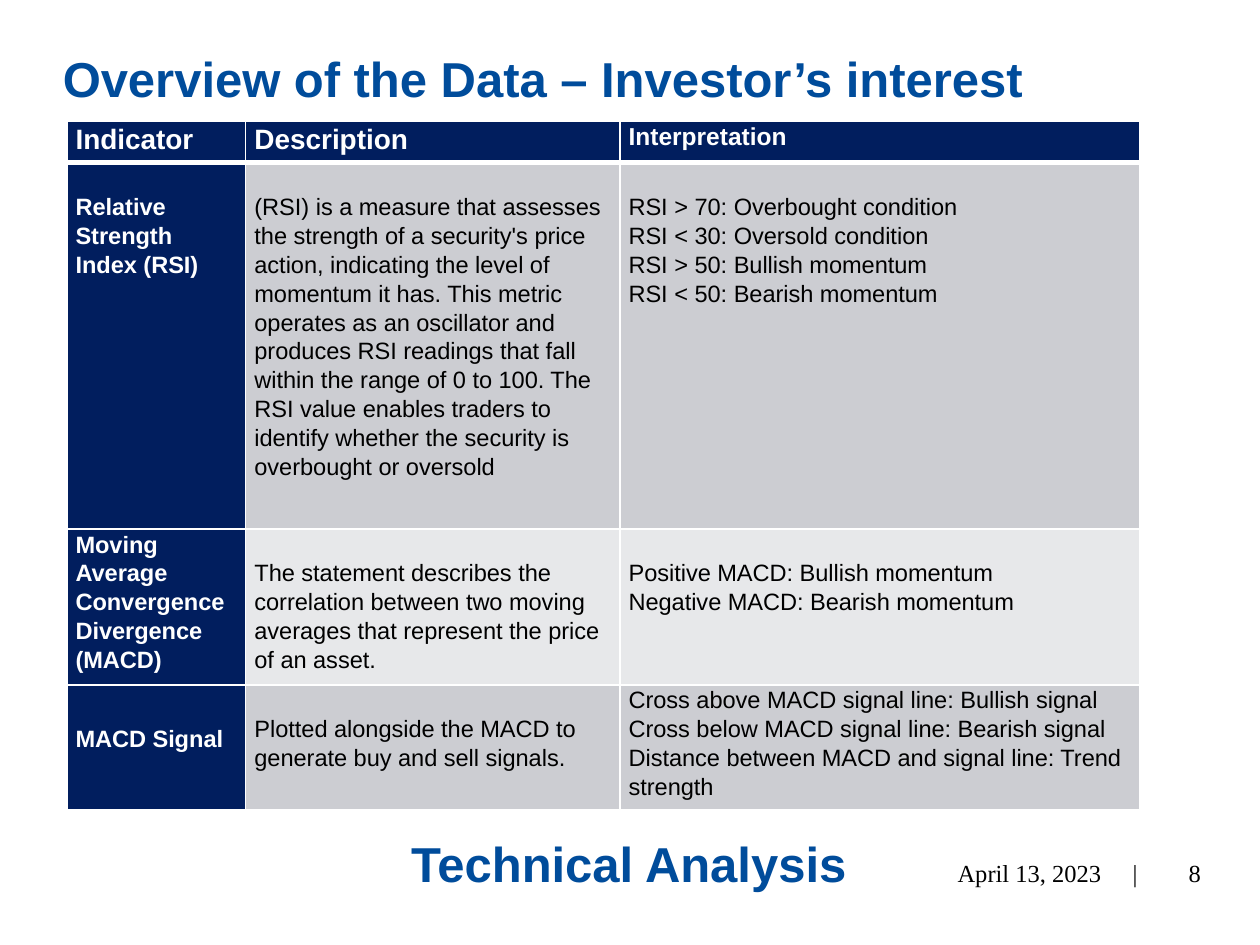
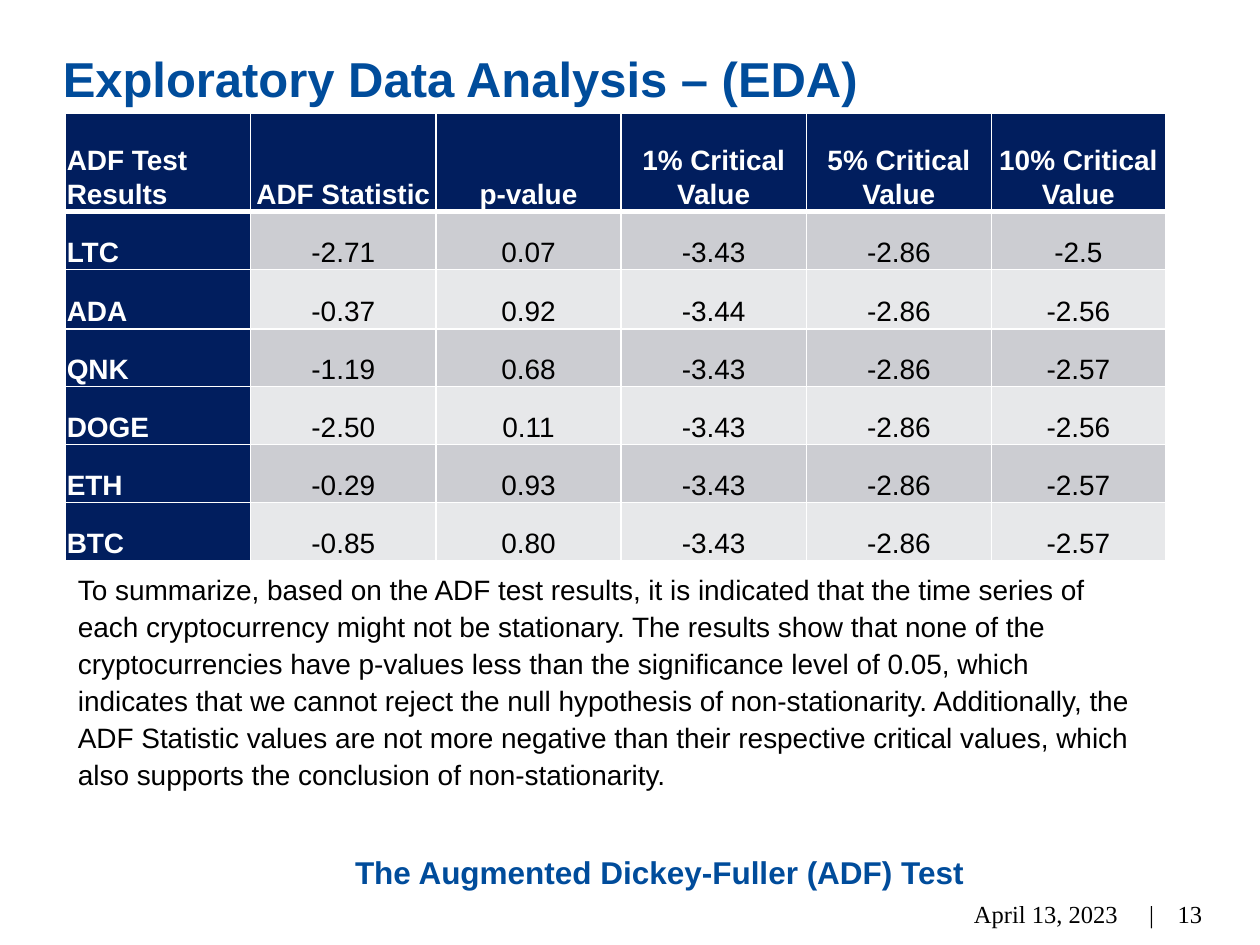
from dataclasses import dataclass

from lxml import etree
from pptx import Presentation
from pptx import util as u
from pptx.dml.color import RGBColor
from pptx.enum import text
from pptx.oxml.ns import qn

PX = 9144  # 100 px to the inch
LEFT, CENTER = text.PP_ALIGN.LEFT, text.PP_ALIGN.CENTER
RIGHT = text.PP_ALIGN.RIGHT
TOP, MIDDLE = text.MSO_ANCHOR.TOP, text.MSO_ANCHOR.MIDDLE
BOTTOM = text.MSO_ANCHOR.BOTTOM


@dataclass(frozen=True)
class Theme:
    title: str = "004C9B"
    header: str = "011E5E"
    bands: tuple[str, str] = ("CCCDD2", "E7E8EA")
    white: str = "FFFFFF"
    black: str = "000000"
    sans: str = "Arial"
    serif: str = "Times New Roman"
    title_pt: float = 28
    caption_pt: float = 18
    body_pt: float = 16
    small_pt: float = 14
    dense_pt: float = 13.5
    title_leading: u.Length = u.Pt(26.6)
    body_leading: float = 1.1
    rule_pt: float = 1
    header_rule_pt: float = 3


THEME = Theme()


@dataclass(frozen=True)
class Box:
    x: int
    y: int
    w: int
    h: int

    def emu(self) -> list[int]:
        return [v * PX for v in (self.x, self.y, self.w, self.h)]


@dataclass(frozen=True)
class Cell:
    text: str
    gap: int = 0  # extra space above the text
    size: float | None = None


@dataclass(frozen=True)
class Grid:
    x: int
    y: int
    cols: list[int]
    rows: list[int]
    cells: list[list[Cell]]
    size: float
    inset_x: int
    inset_y: int
    anchor: text.MSO_ANCHOR
    body_align: text.PP_ALIGN


TITLE_BOX = Box(40, 43, 924, 53)
LINE = 23  # one line of dense table text

INDICATORS = Grid(
    x=53, y=96, cols=[142, 297, 413], rows=[33, 291, 120, 96],
    size=THEME.dense_pt, inset_x=7, inset_y=0, anchor=TOP, body_align=LEFT,
    cells=[
        [Cell("Indicator", size=THEME.body_pt),
         Cell("Description", size=THEME.body_pt),
         Cell("Interpretation", size=THEME.small_pt)],
        [Cell("Relative Strength Index (RSI)", LINE),
         Cell("(RSI) is a measure that assesses the strength of a security's "
              "price action, indicating the level of momentum it has. This "
              "metric operates as an oscillator and produces RSI readings that "
              "fall within the range of 0 to 100. The RSI value enables traders "
              "to identify whether the security is overbought or oversold", LINE),
         Cell("RSI > 70: Overbought condition\nRSI < 30: Oversold condition\n"
              "RSI > 50: Bullish momentum\nRSI < 50: Bearish momentum", LINE)],
        [Cell("Moving Average Convergence Divergence (MACD)"),
         Cell("The statement describes the correlation between two moving "
              "averages that represent the price of an asset.", LINE),
         Cell("Positive MACD: Bullish momentum\n"
              "Negative MACD: Bearish momentum", LINE)],
        [Cell("MACD Signal", LINE + 8),
         Cell("Plotted alongside the MACD to generate buy and sell signals.", LINE),
         Cell("Cross above MACD signal line: Bullish signal\n"
              "Cross below MACD signal line: Bearish signal\n"
              "Distance between MACD and signal line: Trend strength")],
    ],
)

ADF_RESULTS = [
    ["ADF Test Results", "ADF Statistic", "p-value", "1% Critical Value",
     "5% Critical Value", "10% Critical Value"],
    ["LTC", "-2.71", "0.07", "-3.43", "-2.86", "-2.5"],
    ["ADA", "-0.37", "0.92", "-3.44", "-2.86", "-2.56"],
    ["QNK", "-1.19", "0.68", "-3.43", "-2.86", "-2.57"],
    ["DOGE", "-2.50", "0.11", "-3.43", "-2.86", "-2.56"],
    ["ETH", "-0.29", "0.93", "-3.43", "-2.86", "-2.57"],
    ["BTC", "-0.85", "0.80", "-3.43", "-2.86", "-2.57"],
]
ADF_GRID = Grid(
    x=52, y=90, cols=[147] * 5 + [138], rows=[78, 46, 47] + [46] * 4,
    size=THEME.body_pt, inset_x=1, inset_y=1, anchor=BOTTOM, body_align=CENTER,
    cells=[[Cell(value) for value in row] for row in ADF_RESULTS],
)

SUMMARY = (
    "To summarize, based on the ADF test results, it is indicated that the time "
    "series of each cryptocurrency might not be stationary. The results show that "
    "none of the cryptocurrencies have p-values less than the significance level "
    "of 0.05, which indicates that we cannot reject the null hypothesis of "
    "non-stationarity. Additionally, the ADF Statistic values are not more negative "
    "than their respective critical values, which also supports the conclusion of "
    "non-stationarity."
)


def write(tf, content: str, *, size: float, color: str = THEME.black,
          font: str = THEME.sans, bold: bool = False, align=LEFT,
          leading=None, tab: int | None = None) -> None:
    """Fill a text frame, one paragraph for each line of content."""
    tf.word_wrap = True
    for i, line in enumerate(content.split("\n")):
        p = tf.add_paragraph() if i else tf.paragraphs[0]
        p.alignment = align
        p.line_spacing = leading
        if tab is not None:
            tabs = etree.SubElement(p._p.get_or_add_pPr(), qn("a:tabLst"))
            etree.SubElement(tabs, qn("a:tab"), pos=str(tab * PX), algn="l")
        r = p.add_run()
        r.text = line
        r.font.size = u.Pt(size)
        r.font.name = font
        r.font.bold = bold
        r.font.color.rgb = RGBColor.from_string(color)


def add_text(slide, box: Box, content: str, *, anchor=TOP,
             left: int = 10, **fmt) -> None:
    tf = slide.shapes.add_textbox(*box.emu()).text_frame
    tf.vertical_anchor = anchor
    tf.margin_left = left * PX
    write(tf, content, **fmt)


def add_heading(slide, box: Box, content: str, *,
                size: float = THEME.title_pt, align=LEFT) -> None:
    add_text(slide, box, content, size=size, align=align, color=THEME.title,
             bold=True, leading=THEME.title_leading)


def add_footer(slide, date_x: int, page_x: int, y: int, page: int) -> None:
    fmt = dict(size=THEME.small_pt, font=THEME.serif, anchor=MIDDLE)
    add_text(slide, Box(date_x, y, 227, 40), "April 13, 2023\t|",
             left=74, tab=139, **fmt)
    add_text(slide, Box(page_x, y, 74, 40), str(page), align=RIGHT, **fmt)


def set_borders(cell, row: int) -> None:
    """Draw white rules, with a thicker one below the header row."""
    tcPr = cell._tc.get_or_add_tcPr()
    for side in "LRTB":
        thick = (row, side) in ((0, "B"), (1, "T"))
        width = THEME.header_rule_pt if thick else THEME.rule_pt
        ln = etree.SubElement(tcPr, qn(f"a:ln{side}"), w=str(u.Pt(width)))
        fill = etree.SubElement(ln, qn("a:solidFill"))
        etree.SubElement(fill, qn("a:srgbClr"), val=THEME.white)


def add_grid(slide, grid: Grid) -> None:
    box = Box(grid.x, grid.y, sum(grid.cols), sum(grid.rows))
    table = slide.shapes.add_table(len(grid.rows), len(grid.cols), *box.emu()).table
    table.first_col = True
    table.horz_banding = False
    for column, width in zip(table.columns, grid.cols):
        column.width = width * PX
    for row, height in zip(table.rows, grid.rows):
        row.height = height * PX
    for i, line in enumerate(grid.cells):
        for j, item in enumerate(line):
            cell = table.cell(i, j)
            heading = i == 0 or j == 0
            cell.margin_left = cell.margin_right = grid.inset_x * PX
            cell.margin_top = (grid.inset_y + item.gap) * PX
            cell.margin_bottom = grid.inset_y * PX
            cell.vertical_anchor = grid.anchor
            set_borders(cell, i)
            cell.fill.solid()
            cell.fill.fore_color.rgb = RGBColor.from_string(
                THEME.header if heading else THEME.bands[(i - 1) % 2])
            write(cell.text_frame, item.text, size=item.size or grid.size,
                  color=THEME.white if heading else THEME.black, bold=heading,
                  align=grid.body_align if j else LEFT,
                  leading=THEME.body_leading)


def add_slide(prs, title: str):
    slide = prs.slides.add_slide(prs.slide_layouts[6])
    add_heading(slide, TITLE_BOX, title)
    return slide


def build_indicators(prs) -> None:
    slide = add_slide(prs, "Overview of the Data – Investor’s interest")
    add_footer(slide, date_x=686, page_x=889, y=673, page=8)
    add_heading(slide, Box(37, 666, 924, 53), "Technical Analysis", align=CENTER)
    add_grid(slide, INDICATORS)


def build_adf_test(prs) -> None:
    slide = add_slide(prs, "Exploratory Data Analysis – (EDA)")
    add_footer(slide, date_x=699, page_x=890, y=705, page=13)
    add_grid(slide, ADF_GRID)
    add_text(slide, Box(52, 447, 866, 186), SUMMARY, size=THEME.body_pt,
             leading=THEME.body_leading)
    add_heading(slide, Box(177, 665, 693, 40),
                "The Augmented Dickey-Fuller (ADF) Test",
                size=THEME.caption_pt, align=CENTER)


def main() -> None:
    prs = Presentation()
    prs.slide_width, prs.slide_height = 1000 * PX, 750 * PX
    build_indicators(prs)
    build_adf_test(prs)
    prs.save("out.pptx")


if __name__ == "__main__":
    main()
